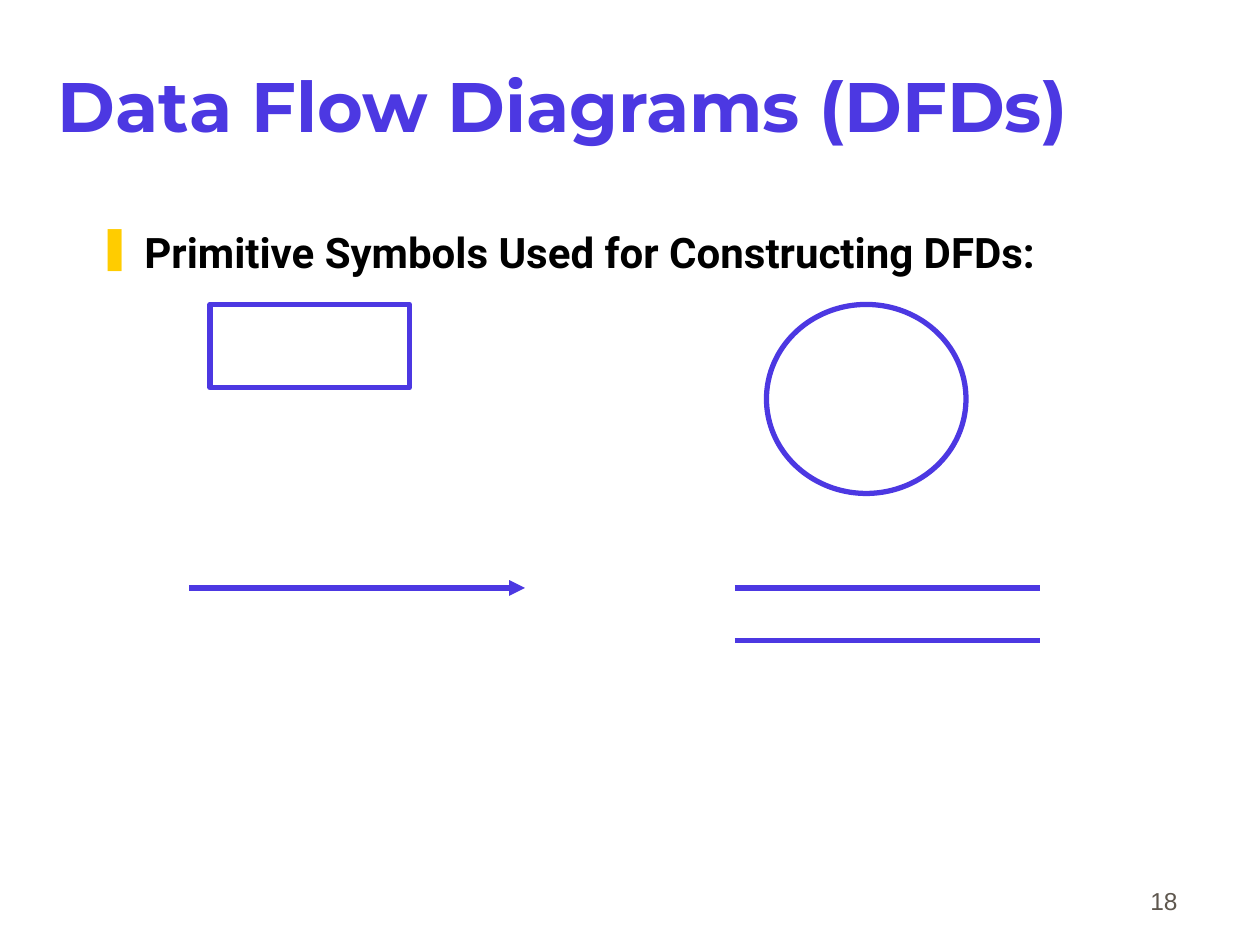
from lxml import etree
from pptx import Presentation
from pptx.dml.color import RGBColor
from pptx.enum import shapes, text
from pptx.oxml.ns import qn
from pptx.util import Pt

COLORS = {"violet": "4C38E2", "bullet": "FFCC00", "body": "000000", "number": "5E574E"}


def add_text(words, box, anchor, align, side_inset, font, size, color, bold):
    frame = slide.shapes.add_textbox(*map(Pt, box)).text_frame
    frame.word_wrap = True
    frame.vertical_anchor = anchor
    frame.margin_left = frame.margin_right = Pt(side_inset)
    paragraph = frame.paragraphs[0]
    paragraph.alignment = align
    run = paragraph.add_run()
    run.text = words
    run.font.name, run.font.size, run.font.bold = font, Pt(size), bold
    run.font.color.rgb = RGBColor.from_string(COLORS[color])
    return paragraph


def style_line(line):
    line.color.rgb = RGBColor.from_string(COLORS["violet"])
    line.width = Pt(3)


prs = Presentation()
prs.slide_width, prs.slide_height = Pt(720), Pt(540)
slide = prs.slides.add_slide(prs.slide_layouts[6])

anchors, aligns = text.MSO_ANCHOR, text.PP_ALIGN
add_text("18", (530, 490.5, 150, 36), anchors.BOTTOM, aligns.RIGHT,
         7.2, "Arial", 14, "number", False)
add_text("Data Flow Diagrams (DFDs)", (31.5, 14.5, 612, 90), anchors.MIDDLE, aligns.LEFT,
         1.5, "Montserrat", 40, "violet", True)
heading = add_text("Primitive Symbols Used for Constructing DFDs:", (54, 126, 612, 324),
                   anchors.TOP, aligns.LEFT, 1.5, "Roboto", 24, "body", True)

# Bar bullet with a hanging indent
props = heading._p.get_or_add_pPr()
props.set("marL", str(Pt(27)))
props.set("indent", str(Pt(-27)))
bullet_color = etree.SubElement(props, qn("a:buClr"))
etree.SubElement(bullet_color, qn("a:srgbClr"), val=COLORS["bullet"])
etree.SubElement(props, qn("a:buChar"), char="❚")

# External entity and process
presets = shapes.MSO_SHAPE
for preset, left, height in ((presets.ROUNDED_RECTANGLE, 120, 47.5), (presets.OVAL, 438, 108)):
    symbol = slide.shapes.add_shape(preset, Pt(left), Pt(174), Pt(114), Pt(height))
    symbol.shadow.inherit = False
    symbol.fill.background()
    style_line(symbol.line)
    if preset == presets.ROUNDED_RECTANGLE:
        symbol.adjustments[0] = 0

# Data flow arrow, then the two bars of the data store
for start, end, y, has_arrow in ((108, 300, 336, True), (420, 594, 336, False),
                                 (420, 594, 366, False)):
    flow = slide.shapes.add_connector(shapes.MSO_CONNECTOR.STRAIGHT,
                                      Pt(start), Pt(y), Pt(end), Pt(y))
    style_line(flow.line)
    if has_arrow:
        etree.SubElement(flow.line._get_or_add_ln(), qn("a:tailEnd"), type="triangle")
    etree.SubElement(flow._element.spPr, qn("a:effectLst"))

prs.save("out.pptx")
